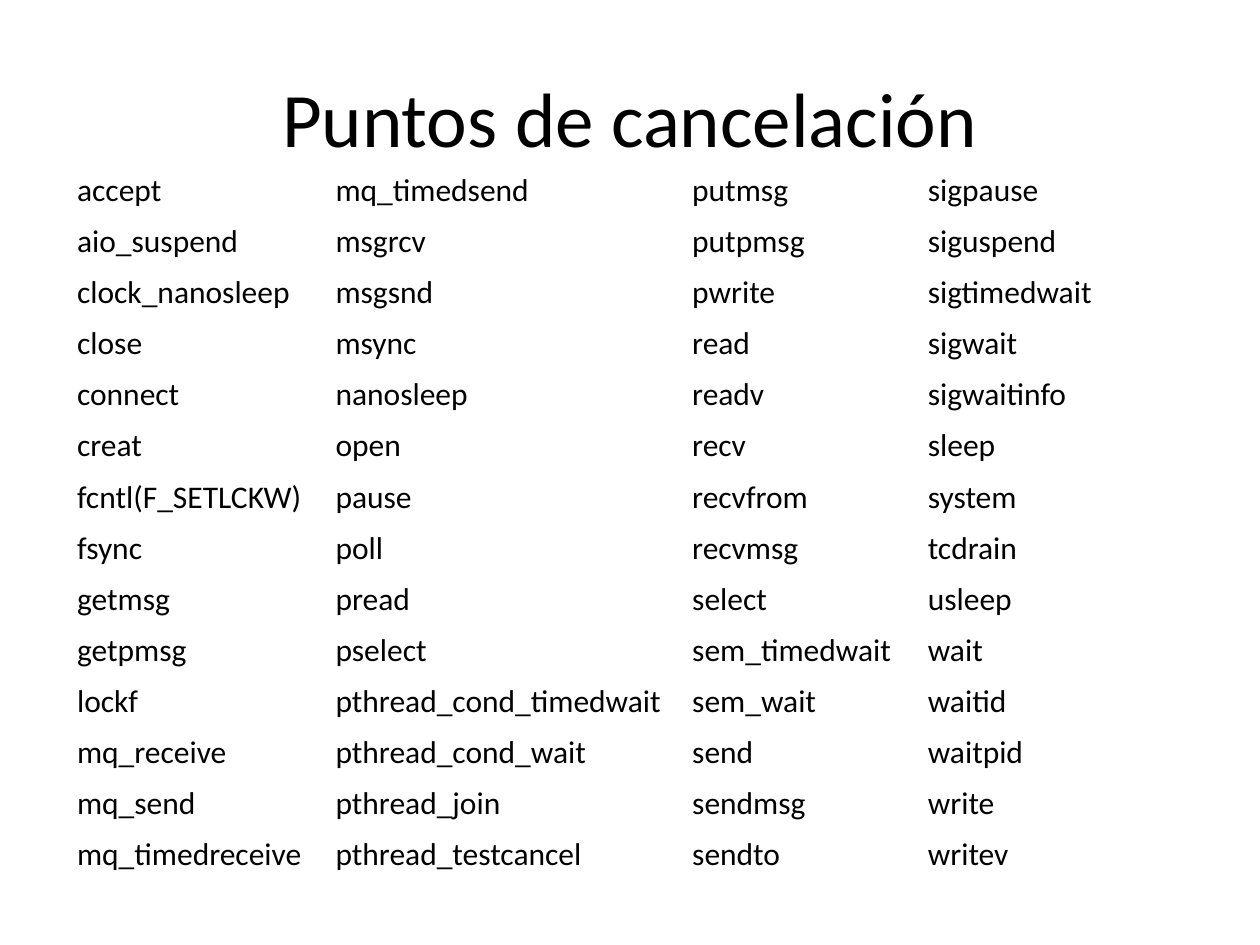
from dataclasses import dataclass

from pptx import Presentation
from pptx.dml.color import RGBColor
from pptx.enum.text import MSO_ANCHOR, PP_ALIGN
from pptx.util import Cm, Pt


@dataclass(frozen=True)
class Theme:
    """Colours, font and type sizes of the slide."""
    ink: RGBColor = RGBColor(0, 0, 0)
    paper: RGBColor = RGBColor(255, 255, 255)
    font: str = "Calibri"
    title_size: int = 44
    body_size: int = 18


THEME = Theme()
ROW_HEIGHT = 1.03
COLUMN_WIDTHS = (5.21, 7.19, 4.75, 5.71)
FUNCTION_COLUMNS = (
    ("accept", "aio_suspend", "clock_nanosleep", "close", "connect", "creat",
     "fcntl(F_SETLCKW)", "fsync", "getmsg", "getpmsg", "lockf", "mq_receive",
     "mq_send", "mq_timedreceive"),
    ("mq_timedsend", "msgrcv", "msgsnd", "msync", "nanosleep", "open",
     "pause", "poll", "pread", "pselect", "pthread_cond_timedwait",
     "pthread_cond_wait", "pthread_join", "pthread_testcancel"),
    ("putmsg", "putpmsg", "pwrite", "read", "readv", "recv", "recvfrom",
     "recvmsg", "select", "sem_timedwait", "sem_wait", "send", "sendmsg",
     "sendto"),
    ("sigpause", "siguspend", "sigtimedwait", "sigwait", "sigwaitinfo",
     "sleep", "system", "tcdrain", "usleep", "wait", "waitid", "waitpid",
     "write", "writev"),
)


def write_text(frame, text, *, size=THEME.body_size, color=THEME.ink,
               align=PP_ALIGN.LEFT):
    """Write one formatted paragraph into a text frame."""
    paragraph = frame.paragraphs[0]
    paragraph.alignment = align
    run = paragraph.add_run()
    run.text = text
    run.font.name = THEME.font
    run.font.size = Pt(size)
    run.font.color.rgb = color


def add_title(slide, text):
    """Add the centred slide title."""
    heading = slide.shapes.add_textbox(Cm(1.27), Cm(0.76), Cm(22.86), Cm(3.18))
    heading.text_frame.word_wrap = True
    heading.text_frame.vertical_anchor = MSO_ANCHOR.MIDDLE
    write_text(heading.text_frame, text, size=THEME.title_size,
               align=PP_ALIGN.CENTER)


def add_function_table(slide, columns):
    """Add a plain table with one list of function names per column."""
    row_count = len(columns[0])
    functions = slide.shapes.add_table(
        row_count, len(columns), Cm(1.3), Cm(3.33),
        Cm(sum(COLUMN_WIDTHS)), Cm(ROW_HEIGHT * row_count)).table
    functions.first_row = False
    functions.horz_banding = False
    for column, width in zip(functions.columns, COLUMN_WIDTHS):
        column.width = Cm(width)
    for row in functions.rows:
        row.height = Cm(ROW_HEIGHT)
    for column_index, names in enumerate(columns):
        for row_index, name in enumerate(names):
            cell = functions.cell(row_index, column_index)
            cell.fill.background()
            write_text(cell.text_frame, name)


def main():
    """Build and save the slide."""
    presentation = Presentation()
    presentation.slide_width = Cm(25.4)
    presentation.slide_height = Cm(19.05)
    slide = presentation.slides.add_slide(presentation.slide_layouts[6])
    slide.background.fill.solid()
    slide.background.fill.fore_color.rgb = THEME.paper
    add_title(slide, "Puntos de cancelación")
    add_function_table(slide, FUNCTION_COLUMNS)
    presentation.save("out.pptx")


main()
